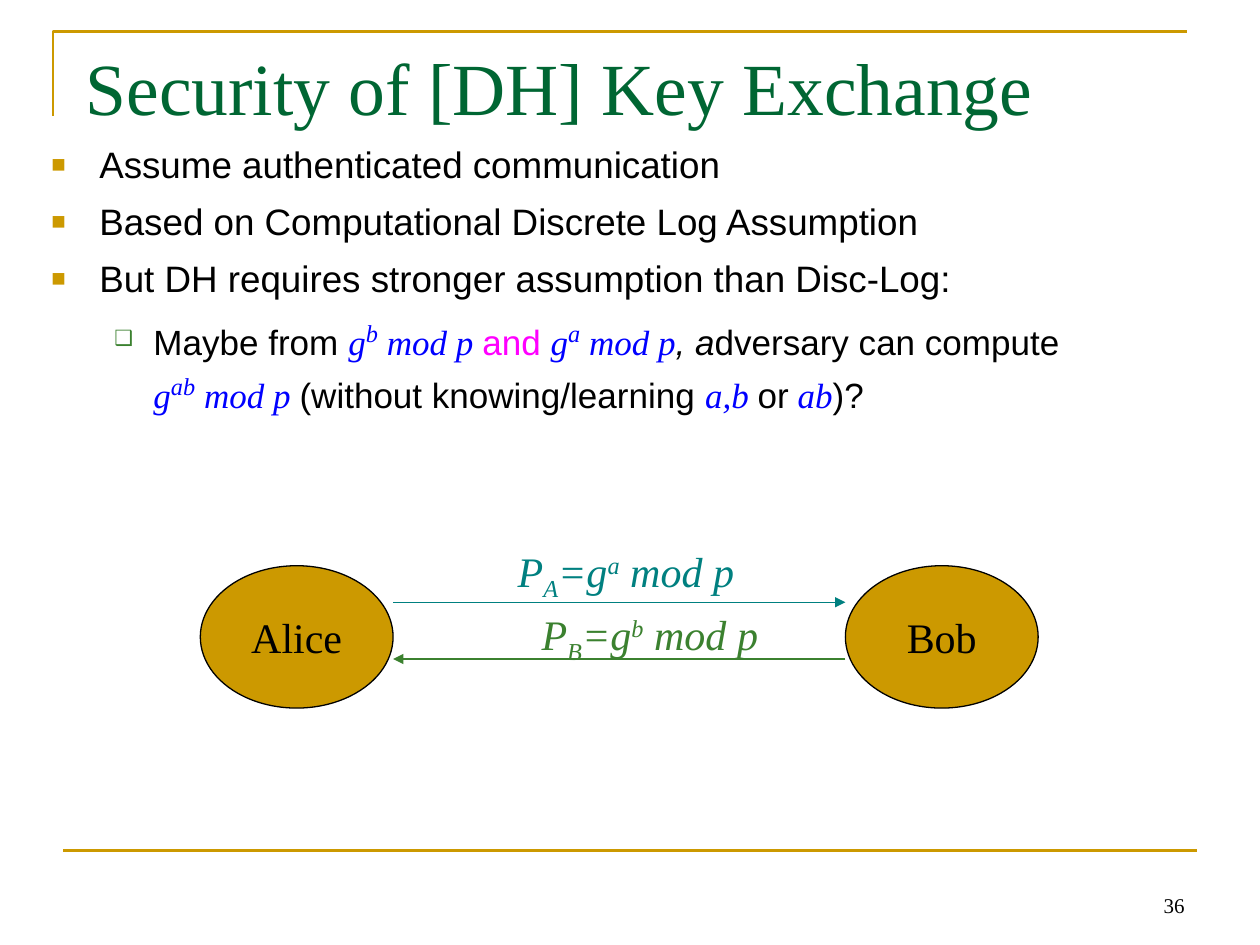
from dataclasses import dataclass

from lxml import etree
from pptx import Presentation
from pptx.dml.color import RGBColor
from pptx.enum.shapes import MSO_CONNECTOR, MSO_SHAPE
from pptx.enum.text import MSO_ANCHOR, MSO_AUTO_SIZE, PP_ALIGN
from pptx.oxml.ns import qn
from pptx.util import Inches, Pt

STRAIGHT = MSO_CONNECTOR.STRAIGHT
ELLIPSE = MSO_SHAPE.OVAL
TOP, MIDDLE, BOTTOM = MSO_ANCHOR.TOP, MSO_ANCHOR.MIDDLE, MSO_ANCHOR.BOTTOM
LEFT, CENTER, RIGHT = PP_ALIGN.LEFT, PP_ALIGN.CENTER, PP_ALIGN.RIGHT
NO_AUTOSIZE, GROW = MSO_AUTO_SIZE.NONE, MSO_AUTO_SIZE.SHAPE_TO_FIT_TEXT


@dataclass(frozen=True)
class Theme:
    serif: str = "Times New Roman"
    sans: str = "Arial"
    gold: str = "CC9900"
    title: str = "006633"
    black: str = "000000"
    math: str = "0000FF"
    accent: str = "FF00FF"
    teal: str = "008080"
    green: str = "3B812F"
    title_size: int = 42
    point_size: int = 21
    detail_size: int = 20
    exponent_size: int = 24
    diagram_size: int = 24
    number_size: int = 12
    rule_width: float = 1.5
    line_width: float = 0.75


@dataclass(frozen=True)
class Style:
    size: int
    color: str
    font: str
    italic: bool = False
    baseline: int = 0


class SlideBuilder:
    def __init__(self, slide, theme):
        self.slide, self.theme = slide, theme

    def format_run(self, run, style):
        font = run.font
        font.size, font.name, font.italic = Pt(style.size), style.font, style.italic
        font.color.rgb = RGBColor.from_string(style.color)
        if style.baseline:
            run._r.get_or_add_rPr().set("baseline", str(style.baseline * 1000))

    def add_pieces(self, paragraph, pieces):
        """Add (text, style) pieces; None stands for a line break."""
        for piece in pieces:
            if piece is None:
                paragraph.add_line_break()
                continue
            run = paragraph.add_run()
            run.text = piece[0]
            self.format_run(run, piece[1])

    def stroke(self, line, color, width):
        line.color.rgb = RGBColor.from_string(color)
        line.width = Pt(width)

    def title(self, text, left, top, width, height):
        heading = self.slide.shapes.title
        heading.left, heading.top = Inches(left), Inches(top)
        heading.width, heading.height = Inches(width), Inches(height)
        frame = heading.text_frame
        frame.text = text
        frame.auto_size, frame.vertical_anchor = NO_AUTOSIZE, TOP
        frame.margin_top = Inches(0.11)
        frame.paragraphs[0].alignment = LEFT
        t = self.theme
        self.format_run(frame.paragraphs[0].runs[0], Style(t.title_size, t.title, t.serif))

    def text(self, pieces, left, top, width, height, align=LEFT, anchor=TOP, wrap=True):
        box = self.slide.shapes.add_textbox(
            Inches(left), Inches(top), Inches(width), Inches(height))
        frame = box.text_frame
        frame.word_wrap, frame.vertical_anchor = wrap, anchor
        frame.auto_size = NO_AUTOSIZE if wrap else GROW
        frame.paragraphs[0].alignment = align
        self.add_pieces(frame.paragraphs[0], pieces)
        return frame

    def bullet(self, paragraph, mark, color, percent, margin, hang):
        props = paragraph._p.get_or_add_pPr()
        props.set("marL", str(Inches(margin)))
        props.set("indent", str(-Inches(hang)))
        bullet_color = etree.SubElement(props, qn("a:buClr"))
        etree.SubElement(bullet_color, qn("a:srgbClr")).set("val", color)
        etree.SubElement(props, qn("a:buSzPct")).set("val", str(percent * 1000))
        etree.SubElement(props, qn("a:buFont")).set("typeface", self.theme.sans)
        etree.SubElement(props, qn("a:buChar")).set("char", mark)

    def bullets(self, points, detail, left, top, width, height):
        t = self.theme
        point_style = Style(t.point_size, t.black, t.sans)
        frame = self.text([(points[0], point_style)], left, top, width, height)
        for point in points[1:]:
            self.add_pieces(frame.add_paragraph(), [(point, point_style)])
        for paragraph in frame.paragraphs:
            self.bullet(paragraph, "■", t.gold, 65, 0.38, 0.38)
        sub_point = frame.add_paragraph()
        sub_point.level = 1
        self.bullet(sub_point, "❑", t.green, 60, 0.81, 0.31)
        self.add_pieces(sub_point, detail)
        for index, paragraph in enumerate(frame.paragraphs):
            paragraph.line_spacing = 1.05
            paragraph.space_before = Pt(5 if index else 0)
            paragraph.space_after = Pt(1.2)

    def party(self, name, left, top, width, height):
        t = self.theme
        oval = self.slide.shapes.add_shape(
            ELLIPSE, Inches(left), Inches(top), Inches(width), Inches(height))
        oval.shadow.inherit = False
        oval.fill.solid()
        oval.fill.fore_color.rgb = RGBColor.from_string(t.gold)
        self.stroke(oval.line, t.black, t.line_width)
        frame = oval.text_frame
        frame.text = name
        frame.word_wrap, frame.vertical_anchor = False, MIDDLE
        frame.paragraphs[0].alignment = CENTER
        self.format_run(frame.paragraphs[0].runs[0], Style(t.diagram_size, t.black, t.serif))

    def line(self, x1, x2, y, color, width, arrow=False):
        rule = self.slide.shapes.add_connector(
            STRAIGHT, Inches(x1), Inches(y), Inches(x2), Inches(y))
        self.stroke(rule.line, color, width)
        props = rule._element.spPr
        if arrow:
            etree.SubElement(props.find(qn("a:ln")), qn("a:tailEnd")).set("type", "triangle")
        etree.SubElement(props, qn("a:effectLst"))

    def corner(self, left, top, right, bottom):
        builder = self.slide.shapes.build_freeform(Inches(left), Inches(bottom))
        builder.add_line_segments(
            [(Inches(left), Inches(top)), (Inches(right), Inches(top))], close=False)
        frame_line = builder.convert_to_shape()
        frame_line.shadow.inherit = False
        frame_line.fill.background()
        self.stroke(frame_line.line, self.theme.gold, self.theme.rule_width)

    def message(self, party, exponent, color, left, top):
        t = self.theme
        normal, sub, sup = (
            Style(t.diagram_size, color, t.serif, True, shift) for shift in (0, -25, 30))
        self.text([("P", normal), (party, sub), ("=g", normal), (exponent, sup),
                   (" mod p", normal)], left, top, 1.95, 0.5, wrap=False)


def main():
    prs = Presentation()
    prs.slide_width, prs.slide_height = Inches(10), Inches(7.5)
    theme = Theme()
    page = SlideBuilder(prs.slides.add_slide(prs.slide_layouts[5]), theme)

    # Page frame and number
    page.corner(0.42, 0.25, 9.42, 0.92)
    page.line(0.5, 9.5, 6.75, theme.gold, theme.rule_width)
    page.text([("36", Style(theme.number_size, theme.black, theme.serif))],
              7.17, 6.83, 2.33, 0.5, RIGHT, BOTTOM)

    # Title and argument
    page.title("Security of [DH] Key Exchange", 0.58, 0.22, 8.5, 1.25)
    plain = Style(theme.detail_size, theme.black, theme.sans)
    slanted = Style(theme.detail_size, theme.black, theme.sans, True)
    joined = Style(theme.detail_size, theme.accent, theme.sans)
    math = Style(theme.detail_size, theme.math, theme.serif, True)
    power = Style(theme.exponent_size, theme.math, theme.serif, True, 30)
    page.bullets(
        ["Assume authenticated communication",
         "Based on Computational Discrete Log Assumption",
         "But DH requires stronger assumption than Disc-Log:"],
        [("Maybe from ", plain), ("g", math), ("b", power), (" mod p ", math),
         ("and ", joined), ("g", math), ("a", power), (" mod p", math),
         (", a", slanted), ("dversary can compute ", plain), None,
         ("g", math), ("ab", power), (" mod p ", math),
         ("(without knowing/learning ", plain), ("a,b ", math), ("or", plain),
         (" ab", math), (")?", plain)],
        0.31, 1.06, 9.39, 2.6)

    # Key exchange between the two parties
    alice_left, bob_left, party_width = 1.59, 6.71, 1.53
    alice_right = alice_left + party_width
    for name, left in (("Alice", alice_left), ("Bob", bob_left)):
        page.party(name, left, 4.49, party_width, 1.13)
    page.line(alice_right, bob_left, 4.78, theme.teal, theme.line_width, arrow=True)
    page.message("A", "a", theme.teal, 4.01, 4.28)
    page.line(bob_left, alice_right, 5.23, theme.green, theme.line_width, arrow=True)
    page.message("B", "b", theme.green, 4.2, 4.78)

    prs.save("out.pptx")


if __name__ == "__main__":
    main()
